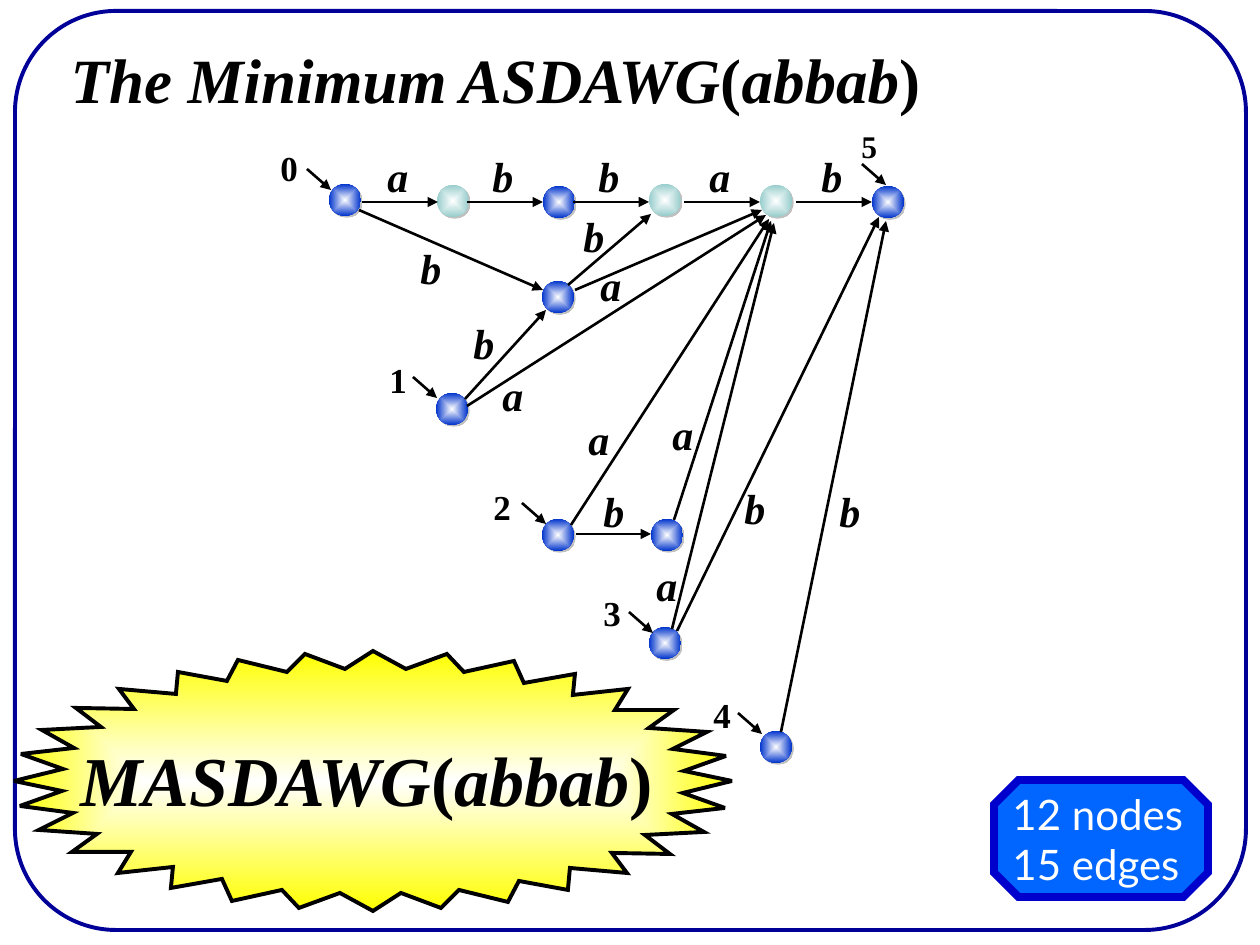
from pptx import Presentation
from pptx.dml.color import RGBColor
from pptx.enum.shapes import MSO_CONNECTOR, MSO_SHAPE
from pptx.enum.text import MSO_ANCHOR, MSO_AUTO_SIZE, PP_ALIGN
from pptx.oxml import parse_xml
from pptx.oxml.ns import nsdecls, qn
from pptx.util import Pt

STRAIGHT = MSO_CONNECTOR.STRAIGHT
CIRCLE = MSO_SHAPE.OVAL
ROUNDED = MSO_SHAPE.ROUNDED_RECTANGLE
OCTAGON = MSO_SHAPE.OCTAGON
TOP = MSO_ANCHOR.TOP
LEFT = PP_ALIGN.LEFT
NO_FIT = MSO_AUTO_SIZE.NONE
SCALE = 914400 / 126
SERIF, SANS = "Times New Roman", "Lato"
BLACK, WHITE, BLUE, PALE = "000000", "FFFFFF", "0033CC", "97CDCC"


def emu(pixels):
    """Turn pixels into EMU."""
    return round(pixels * SCALE)


def color(value):
    """Turn a hex string into a colour."""
    return RGBColor.from_string(value)


def element(markup):
    """Build one drawing element from its markup."""
    tag, space, rest = markup.partition(" ")
    return parse_xml(f"<a:{tag} {nsdecls('a')} {rest}")


def shadow(value):
    """Build an effect list with a small hard shadow."""
    return element(
        'effectLst ><a:outerShdw blurRad="0" dist="17780" dir="2700000">'
        f'<a:srgbClr val="{value}"/></a:outerShdw></a:effectLst>'
    )


class Canvas:
    """Draw styled elements on the current slide."""

    def __init__(self, page):
        """Keep the slide."""
        self.page = page
        self.shapes = page.shapes

    def outline(self, shape, value, width):
        """Give a shape a mitred line."""
        shape.line.color.rgb = color(value)
        shape.line.width = Pt(width)
        shape.line._get_or_add_ln().append(element('miter lim="800000"/>'))

    def glow(self, shape, value):
        """Fill a shape from white at the centre to a colour at the edge."""
        shape.fill.gradient()
        for stop, shade in zip(shape.fill.gradient_stops, (WHITE, value)):
            stop.color.rgb = color(shade)
        gradient = shape._element.spPr.find(qn("a:gradFill"))
        gradient.remove(gradient.find(qn("a:lin")))
        gradient.append(element(
            'path path="rect"><a:fillToRect l="50000" t="50000" '
            'r="50000" b="50000"/></a:path>'
        ))

    def panel(self, kind, left, top, width, height, corner, line, weight, fill=None):
        """Add an outlined preset shape."""
        shape = self.shapes.add_shape(kind, *map(emu, (left, top, width, height)))
        shape.adjustments[0] = corner
        shape.shadow.inherit = False
        if fill:
            shape.fill.solid()
            shape.fill.fore_color.rgb = color(fill)
        else:
            shape.fill.background()
        self.outline(shape, line, weight)

    def node(self, left, top, value):
        """Add a graph node."""
        shape = self.shapes.add_shape(CIRCLE, *map(emu, (left, top, 32, 32)))
        self.glow(shape, value)
        shape.line.fill.background()
        shape._element.spPr.append(shadow("C0C0C0"))

    def arrow(self, *ends):
        """Add an arrow from one point to another."""
        line = self.shapes.add_connector(STRAIGHT, *map(emu, ends))
        line.line.color.rgb = color(BLACK)
        line.line.width = Pt(1.5)
        line.line._get_or_add_ln().append(element('tailEnd type="triangle"/>'))
        line._element.spPr.append(element("effectLst />"))

    def burst(self, points, value):
        """Add a closed starburst."""
        builder = self.shapes.build_freeform(*points[0], scale=SCALE)
        builder.add_line_segments(points[1:], close=True)
        shape = builder.convert_to_shape()
        shape.shadow.inherit = False
        self.glow(shape, value)
        self.outline(shape, BLACK, 2.25)

    def fill_text(self, box, lines, size, font=SERIF, value=BLACK, bold=True, shade=None):
        """Fill a box with lines of (text, italic) runs."""
        frame = box.text_frame
        frame.word_wrap = False
        frame.auto_size = NO_FIT
        frame.vertical_anchor = TOP
        for index, runs in enumerate(lines):
            para = frame.add_paragraph() if index else frame.paragraphs[0]
            para.alignment = LEFT
            para.line_spacing = 1.0
            para.space_before = Pt(0)
            for text, italic in runs:
                span = para.add_run()
                span.text = text
                span.font.name = font
                span.font.size = Pt(size)
                span.font.bold = bold
                span.font.italic = italic
                span.font.color.rgb = color(value)
                if shade:
                    span._r.rPr.find(qn("a:solidFill")).addnext(shadow(shade))

    def title(self, left, top, width, height, runs, size):
        """Place and fill the title."""
        box = self.shapes.title
        box.left, box.top, box.width, box.height = map(emu, (left, top, width, height))
        self.fill_text(box, [runs], size)

    def label(self, left, top, width, height, lines, size, **style):
        """Add a text box."""
        box = self.shapes.add_textbox(*map(emu, (left, top, width, height)))
        self.fill_text(box, lines, size, **style)


def term(name):
    """Give the runs of a name applied to the word."""
    return [(name, True), ("(", False), ("abbab", True), (")", False)]


deck = Presentation()
deck.slide_width, deck.slide_height = emu(1260), emu(945)
canvas = Canvas(deck.slides.add_slide(deck.slide_layouts[5]))

canvas.panel(ROUNDED, 15, 11, 1231, 919, 0.11, "000099", 2.25)
canvas.title(58, 34, 882, 88, term("The Minimum ASDAWG"), 36)

nodes = {
    BLUE: [(329, 184), (543, 186), (872, 186), (542, 281), (436, 393),
           (542, 519), (651, 519), (649, 627), (760, 731)],
    PALE: [(437, 185), (649, 184), (760, 185)],
}
for shade, places in nodes.items():
    for place in places:
        canvas.node(*place, shade)

edges = [
    ("b", (359, 210, 543, 290), (408, 236)),
    ("b", (568, 285, 651, 214), (571, 204)),
    ("a", (575, 290, 762, 210), (588, 253)),
    ("b", (465, 399, 546, 310), (461, 311)),
    ("a", (467, 406, 766, 215), (490, 363)),
    ("a", (571, 525, 769, 219), (576, 407)),
    ("a", (674, 520, 771, 221), (660, 402)),
    ("b", (576, 534, 651, 534), (591, 479)),
    ("a", (672, 629, 774, 223), (644, 553)),
    ("b", (677, 631, 879, 217), (732, 476)),
    ("b", (781, 732, 886, 221), (827, 479)),
]
for letter, start in zip("abbab", (362, 467, 573, 684, 796)):
    edges.append((letter, (start, 202, start + 76, 202), (start + 13, 144)))
for letter, ends, place in edges:
    canvas.arrow(*ends)
    canvas.label(*place, 45, 63, [[(letter, True)]], 24)

entries = [
    ("0", 307, 169, 268, 140, 20),
    ("1", 413, 377, 377, 352, 20),
    ("2", 522, 503, 481, 479, 20),
    ("3", 629, 612, 591, 585, 20),
    ("4", 738, 713, 701, 687, 20),
    ("5", 862, 164, 849, 121, 18),
]
for number, x, y, left, top, size in entries:
    canvas.arrow(x, y, x + 24, y + 21)
    canvas.label(left, top, 43, 55, [[(number, False)]], size)

lower_half = [
    (14, 781), (62, 791), (20, 806), (73, 813), (39, 830), (97, 834), (72, 852),
    (131, 852), (118, 873), (173, 867), (171, 888), (222, 879), (232, 901),
    (282, 890), (299, 908), (340, 893), (373, 911), (401, 893), (441, 908),
    (459, 890), (508, 902), (519, 881), (568, 890), (570, 868), (627, 873),
    (612, 853), (670, 854), (645, 835), (704, 832), (672, 814), (725, 808),
    (683, 793),
]
upper_half = [(746 - x, 1562 - y) for x, y in lower_half]
canvas.burst(lower_half + upper_half, "FFFF00")
canvas.label(68, 730, 604, 97, [term("MASDAWG")], 40)

canvas.panel(OCTAGON, 994, 780, 214, 117, 0.21, "0000CC", 4.5, "0066FF")
counts = [[("12 nodes", False)], [("15 edges", False)]]
canvas.label(1000, 782, 205, 113, counts, 24, font=SANS, value=WHITE, bold=False,
             shade=BLACK)

deck.save("out.pptx")
